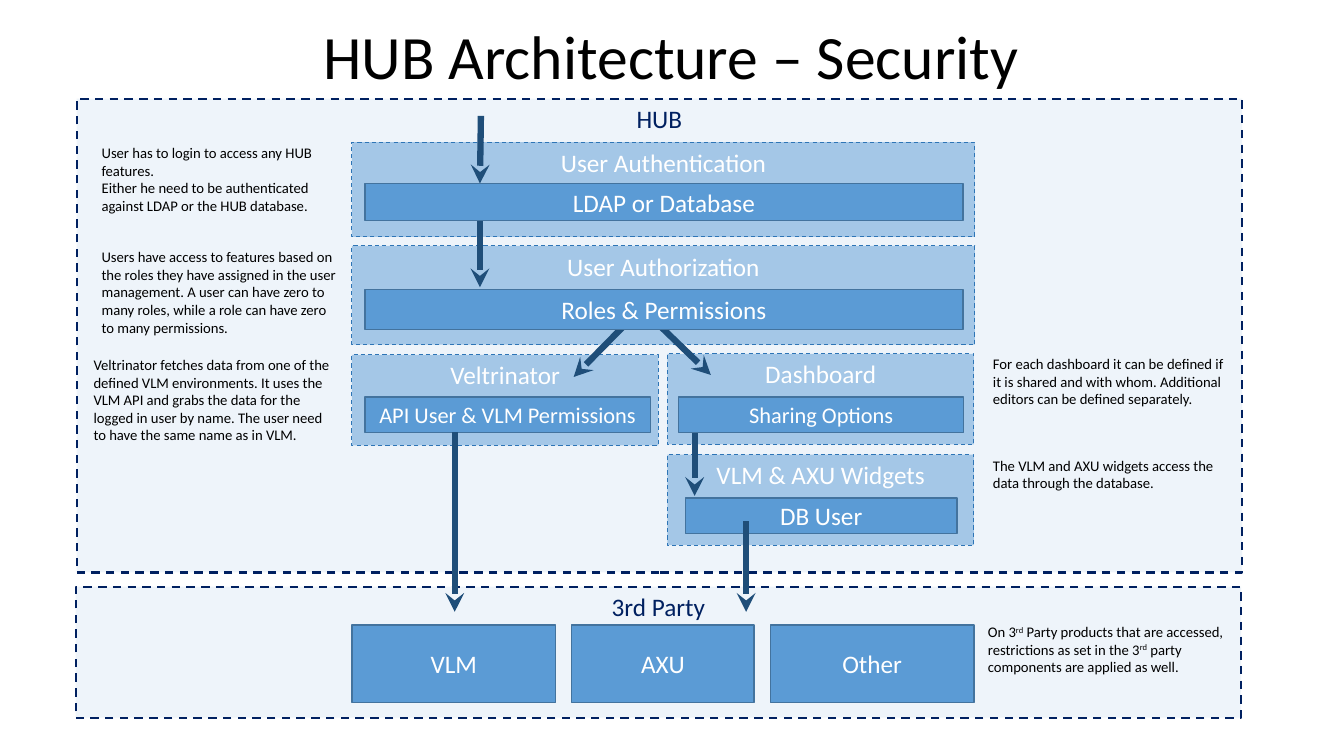
from lxml import etree
from pptx import Presentation, util as u
from pptx.dml.color import RGBColor
from pptx.enum import dml, shapes, text
from pptx.oxml.ns import qn

NAVY = RGBColor(0x00, 0x20, 0x60)
PALE = RGBColor(0xDE, 0xEB, 0xF7)
BLUE = RGBColor(0x5B, 0x9B, 0xD5)
EDGE = RGBColor(0x2E, 0x75, 0xB6)
RIM = RGBColor(0x43, 0x73, 0x9E)
DEEP = RGBColor(0x1F, 0x4E, 0x79)
BLACK = RGBColor(0, 0, 0)
WHITE = RGBColor(255, 255, 255)
FONT = "Calibri"
CELL = 0.1  # inches per grid column and row
TOP, MID = text.MSO_ANCHOR.TOP, text.MSO_ANCHOR.MIDDLE
LEFT, CENTER = text.PP_ALIGN.LEFT, text.PP_ALIGN.CENTER


def cells(*nums):
    return [u.Inches(n * CELL) for n in nums]


def within(box, part):
    """Shift a part's left and top by those of its box."""
    return (box[0] + part[0], box[1] + part[1], *part[2:])


def write(frame, words, size, color, align, anchor):
    """Fill a frame; ^ marks superscript and a newline breaks the line."""
    frame.word_wrap = True
    frame.vertical_anchor = anchor
    para = frame.paragraphs[0]
    para.alignment = align
    for row, line in enumerate(words.split("\n")):
        if row:
            para.add_line_break()
        for i, bit in enumerate(line.split("^")):
            run = para.add_run()
            run.text = bit
            run.font.name, run.font.size = FONT, u.Pt(size)
            run.font.color.rgb = color
            if i % 2:
                run.font._element.set("baseline", "30000")
    return para


def block(slide, box, words, fill, line, width, size=18, color=WHITE,
          anchor=MID, dash=False):
    rect = slide.shapes.add_shape(shapes.MSO_SHAPE.RECTANGLE, *cells(*box))
    rect.shadow.inherit = False
    rect.fill.solid()
    rect.fill.fore_color.rgb = fill
    rect.line.color.rgb, rect.line.width = line, u.Pt(width)
    if dash:  # dashed frames are half transparent
        rect.line.dash_style = dml.MSO_LINE.DASH
        tone = rect.fill._xPr.find(qn("a:solidFill"))[0]
        etree.SubElement(tone, qn("a:alpha")).set("val", "50000")
    write(rect.text_frame, words, size, color, CENTER, anchor)


def zone(slide, box, words):
    block(slide, box, words, PALE, NAVY, 1.5, color=NAVY, anchor=TOP, dash=True)


def panel(slide, box, words):
    block(slide, box, words, BLUE, EDGE, 0.75, anchor=TOP, dash=True)


def core(slide, box, words, size=18):
    block(slide, box, words, BLUE, RIM, 1, size)


def note(slide, box, words):
    area = slide.shapes.add_textbox(*cells(*box))
    write(area.text_frame, words, 10.5, BLACK, LEFT, TOP)
    area.text_frame.auto_size = text.MSO_AUTO_SIZE.SHAPE_TO_FIT_TEXT


def arrow(slide, box, start, end):
    ends = cells(*within(box, start), *within(box, end))
    link = slide.shapes.add_connector(shapes.MSO_CONNECTOR.STRAIGHT, *ends)
    link.line.color.rgb, link.line.width = DEEP, u.Pt(4.5)
    etree.SubElement(link.line._get_or_add_ln(), qn("a:tailEnd")).set("type", "stealth")
    etree.SubElement(link._element.spPr, qn("a:effectLst"))


def heading(slide, box):
    title = slide.shapes.title
    title.left, title.top, title.width, title.height = cells(*box)
    para = write(title.text_frame, "HUB Architecture – Security", 44, BLACK, CENTER, MID)
    para.line_spacing = 0.9


def hub(slide, box):
    zone(slide, box, "HUB")
    # Dashed panels
    for part, words in [
        ((27.3, 4.3, 61.8, 9.4), "User Authentication"),
        ((27.3, 14.6, 61.8, 9.8), "User Authorization"),
        ((27.3, 25.4, 30.4, 9), "Veltrinator"),
        ((58.6, 25.3, 30.4, 9), "Dashboard"),
        ((58.6, 35.3, 30.4, 9), "VLM & AXU Widgets"),
    ]:
        panel(slide, within(box, part), words)
    # Arrows that start behind the solid boxes
    for start, end in [
        ((40.1, 1.7), (40, 8.4)),
        ((40, 10.6), (40, 18.7)),
        ((54.9, 21.9), (49.3, 27.6)),
        ((57.1, 21.8), (62.9, 27.4)),
        ((61.3, 32.2), (61.3, 39.4)),
    ]:
        arrow(slide, box, start, end)
    # Solid boxes
    for part, words, size in [
        ((28.6, 8.4, 59.3, 3.7), "LDAP or Database", 18),
        ((28.6, 18.9, 59.3, 4), "Roles & Permissions", 18),
        ((28.6, 29.6, 28.3, 3.5), "API User & VLM Permissions", 16),
        ((59.7, 29.6, 28.3, 3.5), "Sharing Options", 16),
        ((60.4, 39.6, 26.9, 3.5), "DB User", 18),
    ]:
        core(slide, within(box, part), words, size)
    # Remarks at both sides
    for part, words in [
        ((1.5, 4, 25.2, 8.1), "User has to login to access any HUB features.\n"
         "Either he need to be authenticated against LDAP or the HUB database."),
        ((1.5, 14.3, 25.7, 9.8), "Users have access to features based on the roles they "
         "have assigned in the user management. A user can have zero to many roles, "
         "while a role can have zero to many permissions."),
        ((0.7, 25, 25.7, 9.8), "Veltrinator fetches data from one of the defined VLM "
         "environments. It uses the VLM API and grabs the data for the logged in user "
         "by name. The user need to have the same name as in VLM."),
        ((89.9, 24.9, 25.7, 6.3), "For each dashboard it can be defined if it is shared "
         "and with whom. Additional editors can be defined separately."),
        ((89.9, 35, 25.7, 4.5), "The VLM and AXU widgets access the data through "
         "the database."),
    ]:
        note(slide, within(box, part), words)


def party(slide, box):
    zone(slide, box, "3rd Party")
    left, gap = 27.4, 1.6
    for words, width in [("VLM", 20.2), ("AXU", 18.1), ("Other", 20.2)]:
        core(slide, within(box, (left, 3.8, width, 7.7)), words)
        left += width + gap
    note(slide, within(box, (89.5, 3.1, 25.7, 6.3)),
         "On 3^rd^ Party products that are accessed, restrictions as set in the "
         "3^rd^ party components are applied as well.")


def links(slide, box):
    """Arrows from the hub zone down into the third-party zone."""
    arrow(slide, box, (37.5, 33.1), (37.5, 50.9))
    arrow(slide, box, (66.4, 41.9), (66.4, 50.9))


deck = Presentation()
deck.slide_width, deck.slide_height = u.Inches(13.33), u.Inches(7.5)
page = deck.slides.add_slide(deck.slide_layouts[5])
HUB = (7.6, 9.8, 115.6, 47)
heading(page, (9.1, 2, 115, 7.8))
party(page, (7.5, 58.2, 115.6, 13))
hub(page, HUB)
links(page, HUB)
deck.save("out.pptx")
